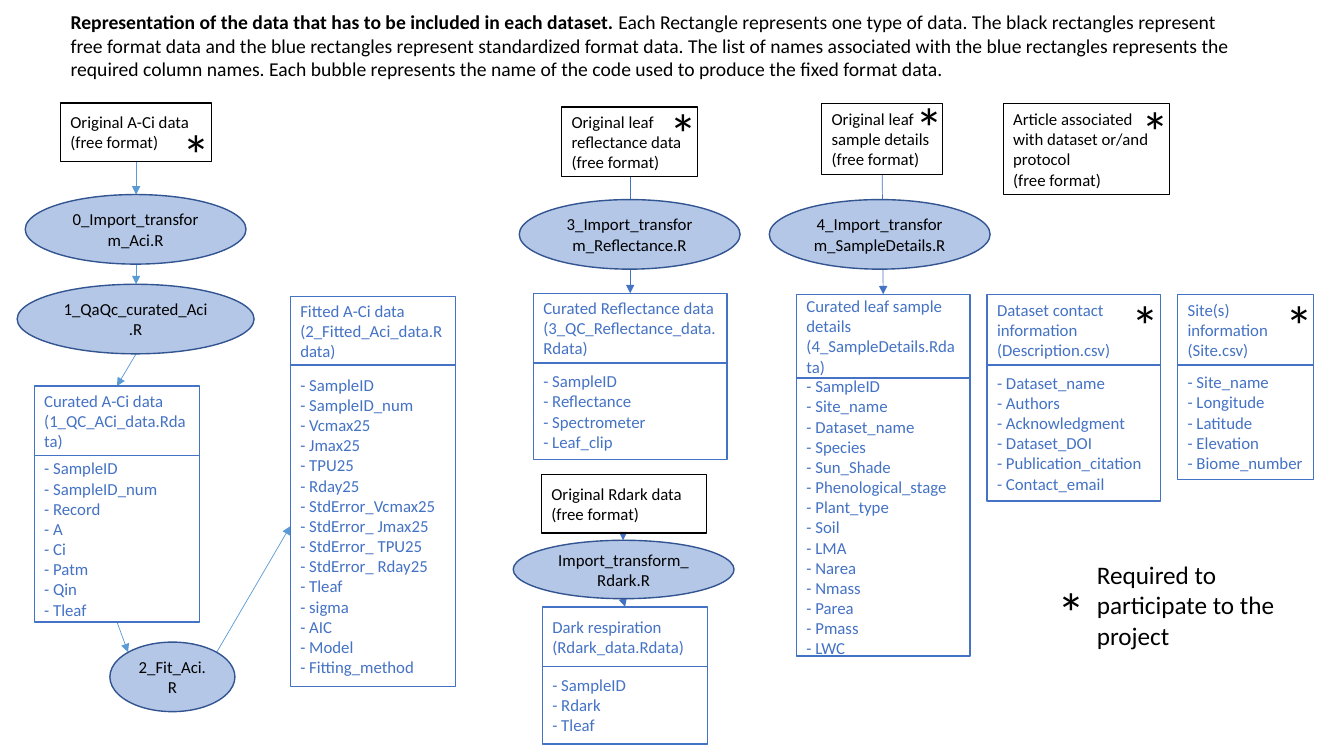
from lxml import etree
from pptx import Presentation
from pptx import util as u
from pptx.dml.color import RGBColor
from pptx.enum import shapes, text
from pptx.oxml import ns

HUES = {"black": "000000", "white": "FFFFFF", "blue": "4472C4",
        "sky": "5B9BD5", "pale": "B4C7E7", "navy": "325491"}


class Board:
    """Draw styled boxes, bubbles, arrows and labels on one slide."""

    def __init__(self, slide):
        self.slide = slide
        self.font = "Calibri"

    def hue(self, name):
        return RGBColor.from_string(HUES[name])

    def place(self, item, x, y, w, h):
        item.left, item.top = u.Inches(x), u.Inches(y)
        item.width, item.height = u.Inches(w), u.Inches(h)

    def run(self, para, words, size, hue="black", bold=False):
        run = para.add_run()
        run.text = words
        font = run.font
        font.name, font.size, font.bold = self.font, u.Pt(size), bold
        font.color.rgb = self.hue(hue)

    def letter(self, frame, lines, size, hue="black", align=text.PP_ALIGN.LEFT):
        frame.word_wrap = True
        for i, line in enumerate(lines):
            para = frame.add_paragraph() if i else frame.paragraphs[0]
            para.alignment = align
            self.run(para, line, size, hue)

    def title(self, x, y, w, h, lead, rest):
        head = self.slide.shapes.title
        self.place(head, x, y, w, h)
        head.fill.solid()
        head.fill.fore_color.rgb = self.hue("white")
        frame = head.text_frame
        frame.word_wrap = True
        frame.auto_size = text.MSO_AUTO_SIZE.NONE
        frame.vertical_anchor = text.MSO_ANCHOR.TOP
        para = frame.paragraphs[0]
        para.alignment = text.PP_ALIGN.LEFT
        para.line_spacing, para.space_before = 1.0, u.Pt(0)
        self.run(para, lead, 14, bold=True)
        self.run(para, rest, 14)

    def shape(self, kind, x, y, w, h, edge):
        item = self.slide.shapes.add_shape(
            kind, u.Inches(x), u.Inches(y), u.Inches(w), u.Inches(h))
        item.shadow.inherit = False
        item.fill.background()
        item.line.color.rgb = self.hue(edge)
        item.line.width = u.Pt(1)
        item.text_frame.vertical_anchor = text.MSO_ANCHOR.MIDDLE
        return item

    def box(self, x, y, w, h, lines, hue="black"):
        item = self.shape(shapes.MSO_SHAPE.RECTANGLE, x, y, w, h, hue)
        self.letter(item.text_frame, lines, 12, hue)

    def card(self, x, y, w, top, low, head, names):
        self.box(x, y, w, top, head, "blue")
        rows = [f"- {name}" for name in names]
        self.box(x, y + top, w, low, rows, "blue")

    def bubble(self, x, y, w, h, code):
        item = self.shape(shapes.MSO_SHAPE.OVAL, x, y, w, h, "navy")
        item.fill.solid()
        item.fill.fore_color.rgb = self.hue("pale")
        self.letter(item.text_frame, [code], 12, align=text.PP_ALIGN.CENTER)

    def label(self, x, y, w, h, words, size):
        item = self.slide.shapes.add_textbox(
            u.Inches(x), u.Inches(y), u.Inches(w), u.Inches(h))
        self.letter(item.text_frame, [words], size)

    def star(self, x, y):
        self.label(x, y, 0.39, 0.77, "*", 40)

    def arrow(self, hue, *ends):
        line = self.slide.shapes.add_connector(
            shapes.MSO_CONNECTOR.STRAIGHT, *map(u.Inches, ends))
        line.line.color.rgb = self.hue(hue)
        line.line.width = u.Pt(0.5)
        props = line._element.spPr
        tip = etree.SubElement(props.find(ns.qn("a:ln")), ns.qn("a:tailEnd"))
        tip.set("type", "triangle")
        etree.SubElement(props, ns.qn("a:effectLst"))


FREE = "(free format)"
ARROWS = {
    "blue": [(8.75, 1.73, 8.76, 2.92), (6.25, 1.75, 6.25, 2.91),
             (6.18, 5.29, 6.18, 5.36), (6.18, 5.95, 6.2, 6.02)],
    "sky": [(1.35, 1.61, 1.35, 1.93), (1.35, 2.62, 1.35, 2.82),
            (1.35, 3.51, 1.16, 3.83), (1.16, 6.17, 1.27, 6.47),
            (2.15, 6.47, 2.88, 5.22)],
}
BOXES = [
    (0.6, 1.02, 1.5, 0.58, ["Original A-Ci data", FREE]),
    (5.57, 1.06, 1.35, 0.69, [f"Original leaf reflectance data {FREE}"]),
    (8.15, 1.03, 1.2, 0.7, [f"Original leaf sample details {FREE}"]),
    (9.95, 1.03, 1.65, 0.9,
     ["Article associated with dataset or/and protocol", FREE]),
    (5.37, 4.71, 1.64, 0.58, ["Original Rdark data", FREE]),
]
BUBBLES = [
    (0.25, 1.93, 2.19, 0.69, "0_Import_transform_Aci.R"),
    (0.17, 2.82, 2.35, 0.69, "1_QaQc_curated_Aci.R"),
    (1.09, 6.37, 1.24, 0.69, "2_Fit_Aci.R"),
    (5.15, 1.98, 2.19, 0.69, "3_Import_transform_Reflectance.R"),
    (7.63, 1.98, 2.19, 0.69, "4_Import_transform_SampleDetails.R"),
    (5.09, 5.36, 2.19, 0.58, "Import_transform_Rdark.R"),
]
CARDS = [
    (0.34, 3.83, 1.64, 0.69, 1.65,
     ["Curated A-Ci data", "(1_QC_ACi_data.Rdata)"],
     ["SampleID", "SampleID_num", "Record", "A", "Ci", "Patm", "Qin",
      "Tleaf"]),
    (2.88, 2.94, 1.64, 0.68, 3.19,
     ["Fitted A-Ci data", "(2_Fitted_Aci_data.Rdata)"],
     ["SampleID", "SampleID_num", "Vcmax25", "Jmax25", "TPU25", "Rday25",
      "StdError_Vcmax25", "StdError_ Jmax25", "StdError_ TPU25",
      "StdError_ Rday25", "Tleaf", "sigma", "AIC", "Model",
      "Fitting_method"]),
    (5.29, 2.91, 1.92, 0.69, 0.96,
     ["Curated Reflectance data", "(3_QC_Reflectance_data.Rdata)"],
     ["SampleID", "Reflectance", "Spectrometer", "Leaf_clip"]),
    (5.38, 6.02, 1.64, 0.59, 0.77,
     ["Dark respiration", "(Rdark_data.Rdata)"],
     ["SampleID", "Rdark", "Tleaf"]),
    (7.9, 2.92, 1.72, 0.83, 2.76,
     ["Curated leaf sample details", "(4_SampleDetails.Rdata)"],
     ["SampleID", "Site_name", "Dataset_name", "Species", "Sun_Shade",
      "Phenological_stage", "Plant_type", "Soil", "LMA", "Narea", "Nmass",
      "Parea", "Pmass", "LWC"]),
    (9.79, 2.92, 1.72, 0.7, 1.35,
     ["Dataset contact information (Description.csv)"],
     ["Dataset_name", "Authors", "Acknowledgment", "Dataset_DOI",
      "Publication_citation", "Contact_email"]),
    (11.68, 2.92, 1.35, 0.7, 1.14,
     ["Site(s) information", "(Site.csv)"],
     ["Site_name", "Longitude", "Latitude", "Elevation", "Biome_number"]),
]
STARS = [(1.71, 1.14), (6.54, 0.93), (8.98, 0.87), (11.22, 0.91),
         (11.12, 2.83), (12.65, 2.83), (10.39, 5.68)]


def main():
    deck = Presentation()
    deck.slide_width, deck.slide_height = u.Inches(13.33), u.Inches(7.5)
    board = Board(deck.slides.add_slide(deck.slide_layouts[5]))
    board.title(
        0.6, 0.05, 11.8, 0.81,
        "Representation of the data that has to be included in each dataset. ",
        "Each Rectangle represents one type of data. The black rectangles "
        "represent free format data and the blue rectangles represent "
        "standardized format data. The list of names associated with the blue "
        "rectangles represents the required column names. Each bubble "
        "represents the name of the code used to produce the fixed format "
        "data.")
    for hue, lines in ARROWS.items():
        for ends in lines:
            board.arrow(hue, *ends)
    for box in BOXES:
        board.box(*box)
    for card in CARDS:
        board.card(*card)
    for bubble in BUBBLES:
        board.bubble(*bubble)
    for spot in STARS:
        board.star(*spot)
    board.label(10.78, 5.5, 2.21, 0.57,
                "Required to participate to the project", 18)
    deck.save("out.pptx")


if __name__ == "__main__":
    main()
